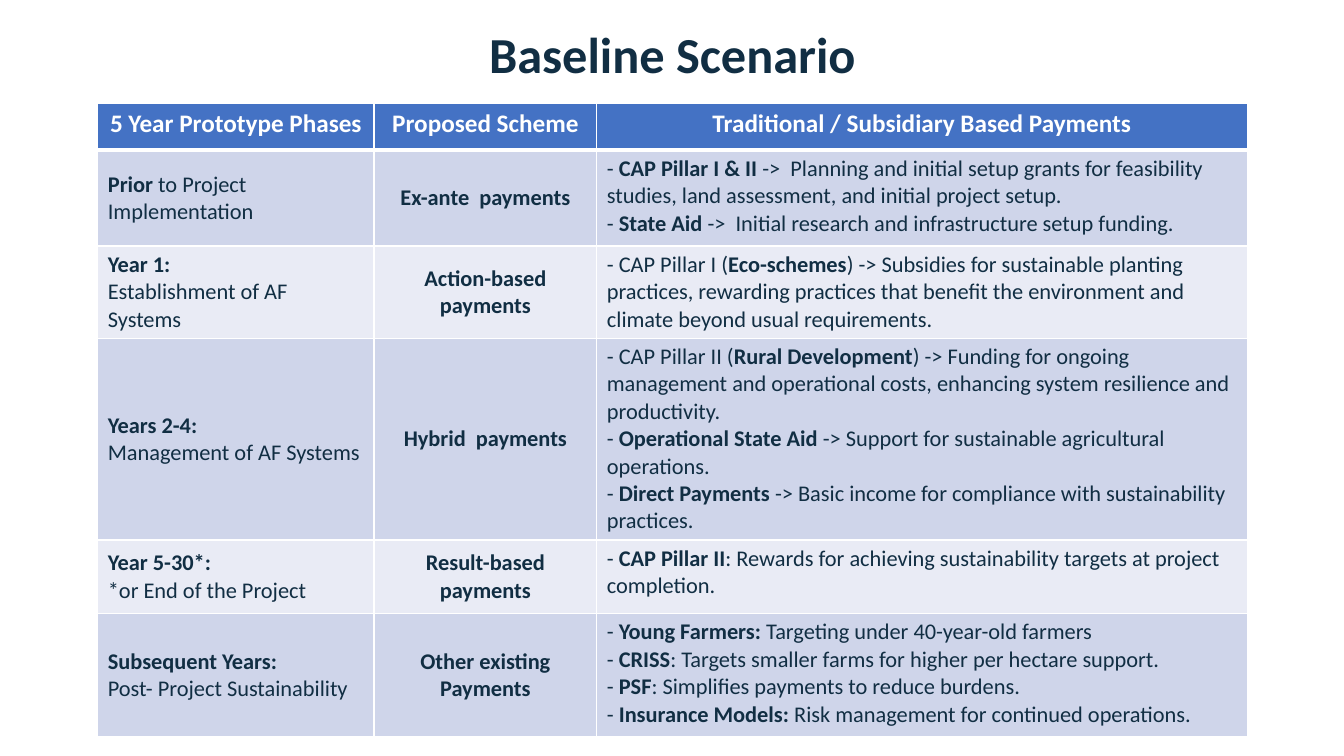
from lxml.etree import SubElement
from pptx import Presentation
from pptx.dml.color import RGBColor
from pptx.enum.text import MSO_ANCHOR as ANCHOR, PP_ALIGN as ALIGN
from pptx.oxml.ns import qn
from pptx.util import Inches, Pt

COLORS = {"ink": "112E43", "header": "4472C4", "odd": "CFD5EA",
          "even": "E9EBF5", "white": "FFFFFF"}
FONT = "Calibri"
COL_WIDTHS = [2.74, 2.21, 6.45]
ROW_HEIGHTS = [0.46, 0.95, 0.91, 1.99, 0.73, 1.22]

# Text between bars is bold.
ROWS = [
    [["|5 Year Prototype Phases|"], ["|Proposed Scheme|"],
     ["|Traditional / Subsidiary Based Payments|"]],
    [["|Prior| to Project Implementation"], ["|Ex-ante  payments|"],
     ["- |CAP Pillar I & II| ->  Planning and initial setup grants for feasibility "
      "studies, land assessment, and initial project setup.",
      "-| State Aid| ->  Initial research and infrastructure setup funding."]],
    [["|Year 1:|", "Establishment of AF Systems"], ["|Action-based payments|"],
     ["- CAP Pillar I (|Eco-schemes|) -> Subsidies for sustainable planting practices, "
      "rewarding practices that benefit the environment and climate beyond usual "
      "requirements."]],
    [["|Years 2-4:|", "Management of AF Systems"], ["|Hybrid  payments|"],
     ["- CAP Pillar II (|Rural Development|) -> Funding for ongoing management and "
      "operational costs, enhancing system resilience and productivity.",
      "- |Operational State Aid |-> Support for sustainable agricultural operations.",
      "-| Direct Payments| -> Basic income for compliance with sustainability "
      "practices."]],
    [["|Year 5-30*:|", "*or End of the Project"], ["|Result-based payments|"],
     ["- |CAP Pillar II|: Rewards for achieving sustainability targets at project "
      "completion."]],
    [["|Subsequent Years:|", "Post- Project Sustainability"],
     ["|Other existing Payments|"],
     ["- |Young Farmers:| Targeting under 40-year-old farmers",
      "- |CRISS|: Targets smaller farms for higher per hectare support.",
      "- |PSF|: Simplifies payments to reduce burdens.",
      "-| Insurance Models:| Risk management for continued operations."]],
]


def rgb(name):
    return RGBColor.from_string(COLORS[name])


def add_run(p, text, color, **formats):
    r = p.add_run()
    r.text = text
    r.font.color.rgb = rgb(color)
    for name, value in {"name": FONT, **formats}.items():
        setattr(r.font, name, value)


def write_cell(cell, lines, size, color, align):
    tf = cell.text_frame
    for i, line in enumerate(lines):
        p = tf.paragraphs[0] if i == 0 else tf.add_paragraph()
        p.alignment = align
        for j, part in enumerate(line.split("|")):
            if part:
                add_run(p, part, color, size=Pt(size), bold=j % 2 == 1)


def set_borders(cell, widths):
    tc_pr = cell._tc.get_or_add_tcPr()
    for side, width in widths.items():
        ln = SubElement(tc_pr, qn(f"a:ln{side}"), w=str(Pt(width)))
        fill = SubElement(ln, qn("a:solidFill"))
        SubElement(fill, qn("a:srgbClr"), val=COLORS["white"])


def add_title(s, x, y, w, h):
    title = s.shapes.title
    for name, value in {"left": x, "top": y, "width": w, "height": h}.items():
        setattr(title, name, Inches(value))
    tf = title.text_frame
    tf.vertical_anchor = ANCHOR.BOTTOM
    p = tf.paragraphs[0]
    p.alignment = ALIGN.CENTER
    p.line_spacing = 0.9
    add_run(p, "Baseline Scenario", "ink", size=Pt(36), bold=True)


def add_payment_table(s, x, y, w, h):
    table = s.shapes.add_table(len(ROWS), len(COL_WIDTHS), Inches(x), Inches(y),
                               Inches(w), Inches(h)).table
    for column, share in zip(table.columns, COL_WIDTHS):
        column.width = Inches(w * share / sum(COL_WIDTHS))
    for row, share in zip(table.rows, ROW_HEIGHTS):
        row.height = Inches(h * share / sum(ROW_HEIGHTS))
    for i, row in enumerate(ROWS):
        header = i == 0
        fill = "header" if header else "odd" if i % 2 else "even"
        size, color = (18, "white") if header else (16, "ink")
        for j, lines in enumerate(row):
            cell = table.cell(i, j)
            set_borders(cell, {"L": 1, "R": 1, "T": 3 if i == 1 else 1,
                               "B": 3 if header else 1})
            cell.fill.solid()
            cell.fill.fore_color.rgb = rgb(fill)
            cell.vertical_anchor = ANCHOR.TOP if header or j == 2 else ANCHOR.MIDDLE
            align = ALIGN.CENTER if header or j == 1 else ALIGN.LEFT
            write_cell(cell, lines, size, color, align)


def main():
    prs = Presentation()
    prs.slide_width, prs.slide_height = Inches(13.33), Inches(7.5)
    s = prs.slides.add_slide(prs.slide_layouts[5])
    add_payment_table(s, 0.97, 1.03, 11.4, 6.26)
    add_title(s, 0.97, 0.22, 11.4, 0.67)
    prs.save("out.pptx")


if __name__ == "__main__":
    main()
